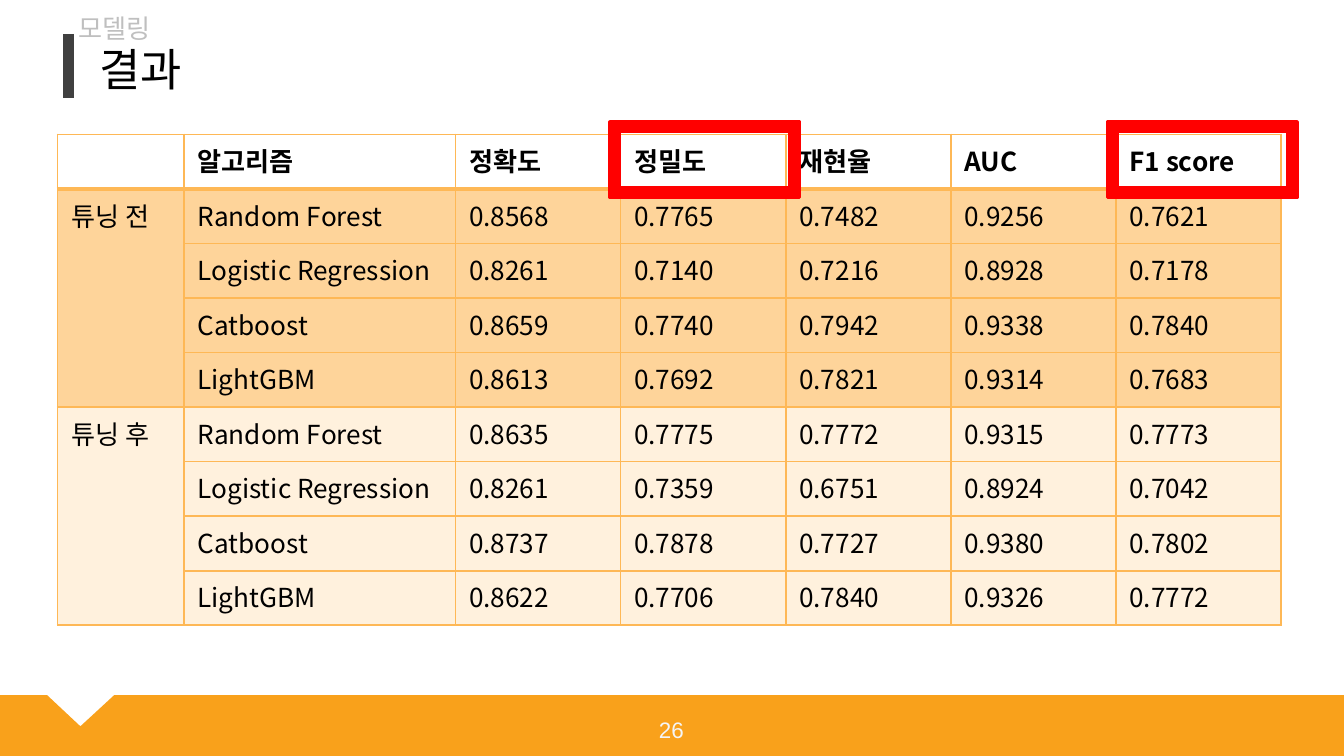
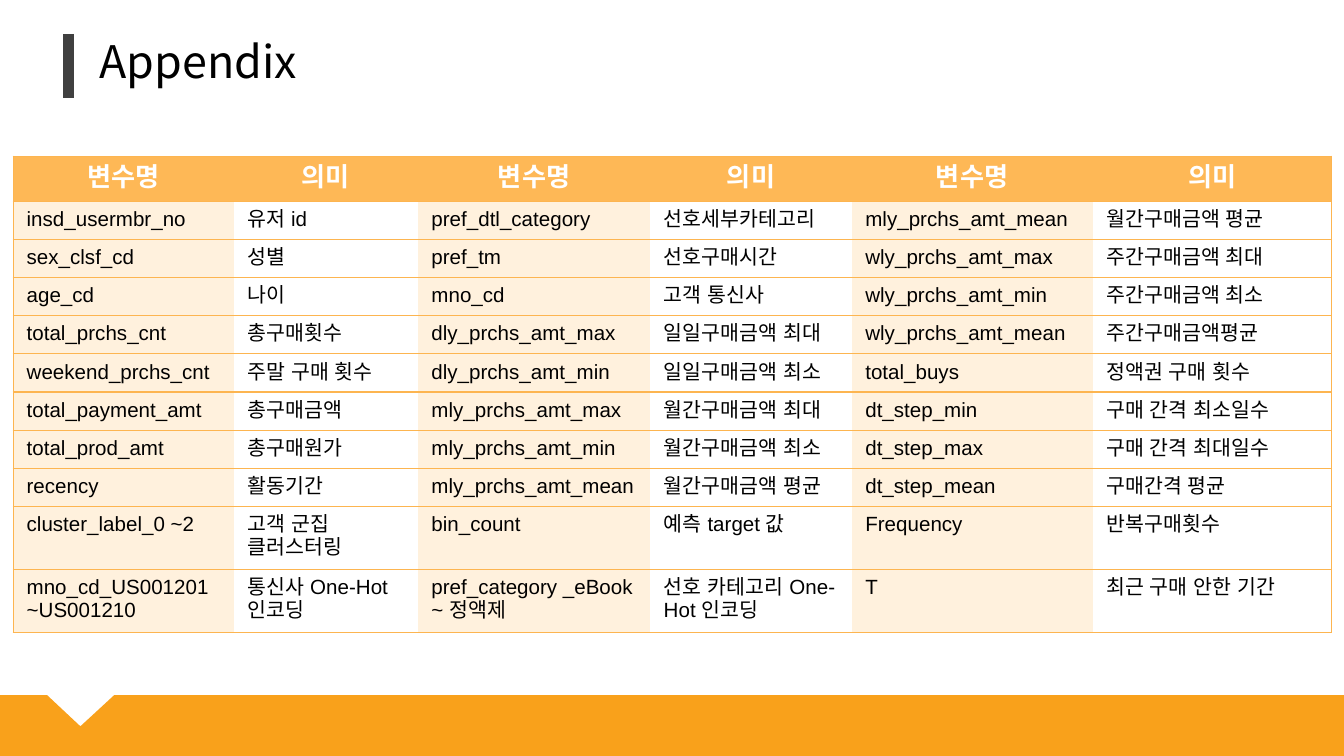
import lxml.etree
import pptx
import pptx.dml.color
import pptx.enum.shapes
import pptx.enum.text
import pptx.oxml.ns
import pptx.util

Cm = pptx.util.Cm
Pt = pptx.util.Pt
RGB = pptx.dml.color.RGBColor
ALIGN = pptx.enum.text.PP_ALIGN
qn = pptx.oxml.ns.qn

ORANGE = RGB(0xF9, 0xA1, 0x1B)
GRID = RGB(0xFE, 0xB8, 0x56)
RULE = RGB(0xFD, 0xB5, 0x50)
PEACH = RGB(0xFE, 0xD4, 0x9A)
CREAM = RGB(0xFF, 0xF1, 0xDD)
DARK = RGB(0x40, 0x40, 0x40)
GRAY = RGB(0xBF, 0xBF, 0xBF)
PALE = RGB(0xF5, 0xF5, 0xF5)
RED = RGB(0xFF, 0, 0)
BLACK = RGB(0, 0, 0)
WHITE = RGB(0xFF, 0xFF, 0xFF)

NOTO = "Noto Sans CJK KR"
ARIAL = "Arial"
WIDE, HIGH = 25.4, 14.28
NOTCH = [(0, 13.13), (0.89, 13.13), (1.52, 13.72), (2.16, 13.13),
         (WIDE, 13.13), (WIDE, HIGH), (0, HIGH)]

HEADS = ["", "알고리즘", "정확도", "정밀도", "재현율", "AUC", "F1 score"]
SCORES = [
    ("튜닝 전", PEACH, [
        ["Random Forest", "0.8568", "0.7765", "0.7482", "0.9256", "0.7621"],
        ["Logistic Regression", "0.8261", "0.7140", "0.7216", "0.8928", "0.7178"],
        ["Catboost", "0.8659", "0.7740", "0.7942", "0.9338", "0.7840"],
        ["LightGBM", "0.8613", "0.7692", "0.7821", "0.9314", "0.7683"],
    ]),
    ("튜닝 후", CREAM, [
        ["Random Forest", "0.8635", "0.7775", "0.7772", "0.9315", "0.7773"],
        ["Logistic Regression", "0.8261", "0.7359", "0.6751", "0.8924", "0.7042"],
        ["Catboost", "0.8737", "0.7878", "0.7727", "0.9380", "0.7802"],
        ["LightGBM", "0.8622", "0.7706", "0.7840", "0.9326", "0.7772"],
    ]),
]

FIELDS = [
    ["변수명", "의미"] * 3,
    ["insd_usermbr_no", "유저 id", "pref_dtl_category", "선호세부카테고리",
     "mly_prchs_amt_mean", "월간구매금액 평균"],
    ["sex_clsf_cd", "성별", "pref_tm", "선호구매시간",
     "wly_prchs_amt_max", "주간구매금액 최대"],
    ["age_cd", "나이", "mno_cd", "고객 통신사",
     "wly_prchs_amt_min", "주간구매금액 최소"],
    ["total_prchs_cnt", "총구매횟수", "dly_prchs_amt_max", "일일구매금액 최대",
     "wly_prchs_amt_mean", "주간구매금액평균"],
    ["weekend_prchs_cnt", "주말 구매 횟수", "dly_prchs_amt_min", "일일구매금액 최소",
     "total_buys", "정액권 구매 횟수"],
    ["total_payment_amt", "총구매금액", "mly_prchs_amt_max", "월간구매금액 최대",
     "dt_step_min", "구매 간격 최소일수"],
    ["total_prod_amt", "총구매원가", "mly_prchs_amt_min", "월간구매금액 최소",
     "dt_step_max", "구매 간격 최대일수"],
    ["recency", "활동기간", "mly_prchs_amt_mean", "월간구매금액 평균",
     "dt_step_mean", "구매간격 평균"],
    ["cluster_label_0 ~2", "고객 군집\n클러스터링", "bin_count", "예측 target 값",
     "Frequency", "반복구매횟수"],
    ["mno_cd_US001201 ~US001210", "통신사 One-Hot 인코딩",
     "pref_category _eBook ~ 정액제", "선호 카테고리 One-Hot 인코딩",
     "T", "최근 구매 안한 기간"],
]


def write(frame, text, size, face, color, bold=False, align=ALIGN.LEFT):
    for i, line in enumerate(text.split("\n")):
        para = frame.add_paragraph() if i else frame.paragraphs[0]
        para.alignment = align
        para.font.size = Pt(size)
        if not line:
            continue
        run = para.add_run()
        run.text = line
        run.font.size = Pt(size)
        run.font.bold = bold
        run.font.name = face
        run.font.color.rgb = color
        east = lxml.etree.SubElement(run.font._element, qn("a:ea"))
        east.set("typeface", face)


def add_text(slide, box, *style, **more):
    frame = slide.shapes.add_textbox(*map(Cm, box)).text_frame
    frame.word_wrap = True
    frame.vertical_anchor = pptx.enum.text.MSO_ANCHOR.MIDDLE
    write(frame, *style, **more)


def add_base(slide, title, box):
    start, *rest = [(Cm(x), Cm(y)) for x, y in NOTCH]
    form = slide.shapes.build_freeform(*start)
    form.add_line_segments(rest, close=True)
    band = form.convert_to_shape()
    band.shadow.inherit = False
    band.fill.solid()
    band.fill.fore_color.rgb = ORANGE
    band.line.fill.background()
    bar = slide.shapes.add_connector(
        pptx.enum.shapes.MSO_CONNECTOR.STRAIGHT,
        Cm(1.3), Cm(0.64), Cm(1.3), Cm(1.85))
    bar.line.color.rgb = DARK
    bar.line.width = Pt(6)
    lxml.etree.SubElement(bar._element.spPr, qn("a:effectLst"))
    add_text(slide, box, title, 24, NOTO, BLACK)


def add_grid(slide, left, top, cols, rows):
    table = slide.shapes.add_table(
        len(rows), len(cols), Cm(left), Cm(top),
        Cm(sum(cols)), Cm(sum(rows))).table
    table.first_row = table.horz_banding = False
    for col, width in zip(table.columns, cols):
        col.width = Cm(width)
    for row, height in zip(table.rows, rows):
        row.height = Cm(height)
    return table


def paint(cell, fill, color, sides):
    if fill is None:
        cell.fill.background()
    else:
        cell.fill.solid()
        cell.fill.fore_color.rgb = fill
    props = cell._tc.get_or_add_tcPr()
    for i, (side, width) in enumerate(zip("LRTB", sides)):
        edge = lxml.etree.Element(qn("a:ln" + side))
        if width:
            edge.set("w", str(Pt(width)))
            solid = lxml.etree.SubElement(edge, qn("a:solidFill"))
            lxml.etree.SubElement(solid, qn("a:srgbClr")).set("val", str(color))
        else:
            lxml.etree.SubElement(edge, qn("a:noFill"))
        props.insert(i, edge)


def add_scores(slide):
    table = add_grid(slide, 1.09, 2.54, [2.39, 5.13] + [3.12] * 5, [1.03] * 9)
    for c, head in enumerate(HEADS):
        cell = table.cell(0, c)
        write(cell.text_frame, head, 14, NOTO, BLACK, bold=True)
        paint(cell, None, GRID, (1, 1, 1, 2))
    r = 1
    for stage, fill, lines in SCORES:
        first = r
        for line in lines:
            name = stage if r == first else ""
            for c, text in enumerate([name] + line):
                cell = table.cell(r, c)
                write(cell.text_frame, text, 14, NOTO, BLACK)
                paint(cell, fill, GRID, (1, 1, 2 if r == 1 else 1, 1))
            r += 1
        table.cell(first, 0).merge(table.cell(r - 1, 0))


def add_fields(slide):
    table = add_grid(slide, 0.25, 2.95, [4.17, 3.48, 4.39, 3.81, 4.55, 4.52],
                     [0.85] + [0.72] * 8 + [1.19] * 2)
    for r, line in enumerate(FIELDS):
        for c, text in enumerate(line):
            cell = table.cell(r, c)
            if r == 0:
                fill = GRID
                write(cell.text_frame, text, 14, ARIAL, WHITE, True, ALIGN.CENTER)
            else:
                fill = None if c % 2 else CREAM
                write(cell.text_frame, text, 11, ARIAL, BLACK)
            left = 0.75 if c == 0 else 0
            right = 0.75 if c == len(line) - 1 else 0
            paint(cell, fill, RULE, (left, right, 0.75, 0.75))


def add_frame(slide, left):
    frame = slide.shapes.add_shape(
        pptx.enum.shapes.MSO_SHAPE.FRAME,
        Cm(left), Cm(2.31), Cm(3.58), Cm(1.42))
    frame.shadow.inherit = False
    frame.fill.solid()
    frame.fill.fore_color.rgb = RED
    frame.line.color.rgb = RED
    frame.line.width = Pt(2)


def main():
    deck = pptx.Presentation()
    deck.slide_width, deck.slide_height = Cm(WIDE), Cm(HIGH)
    blank = deck.slide_layouts[6]

    result = deck.slides.add_slide(blank)
    add_base(result, "결과", (1.63, 0.58, 11.48, 1.42))
    add_scores(result)
    add_text(result, (1.24, 0.1, 4.8, 0.86), "모델링", 14, NOTO, GRAY)
    for left in (11.53, 20.93):
        add_frame(result, left)
    add_text(result, (11.89, 13.39, 1.6, 0.79), "26", 12, ARIAL, PALE,
             align=ALIGN.CENTER)

    annex = deck.slides.add_slide(blank)
    add_base(annex, "Appendix", (1.63, 0.51, 12.7, 1.27))
    add_fields(annex)

    deck.save("out.pptx")


if __name__ == "__main__":
    main()
